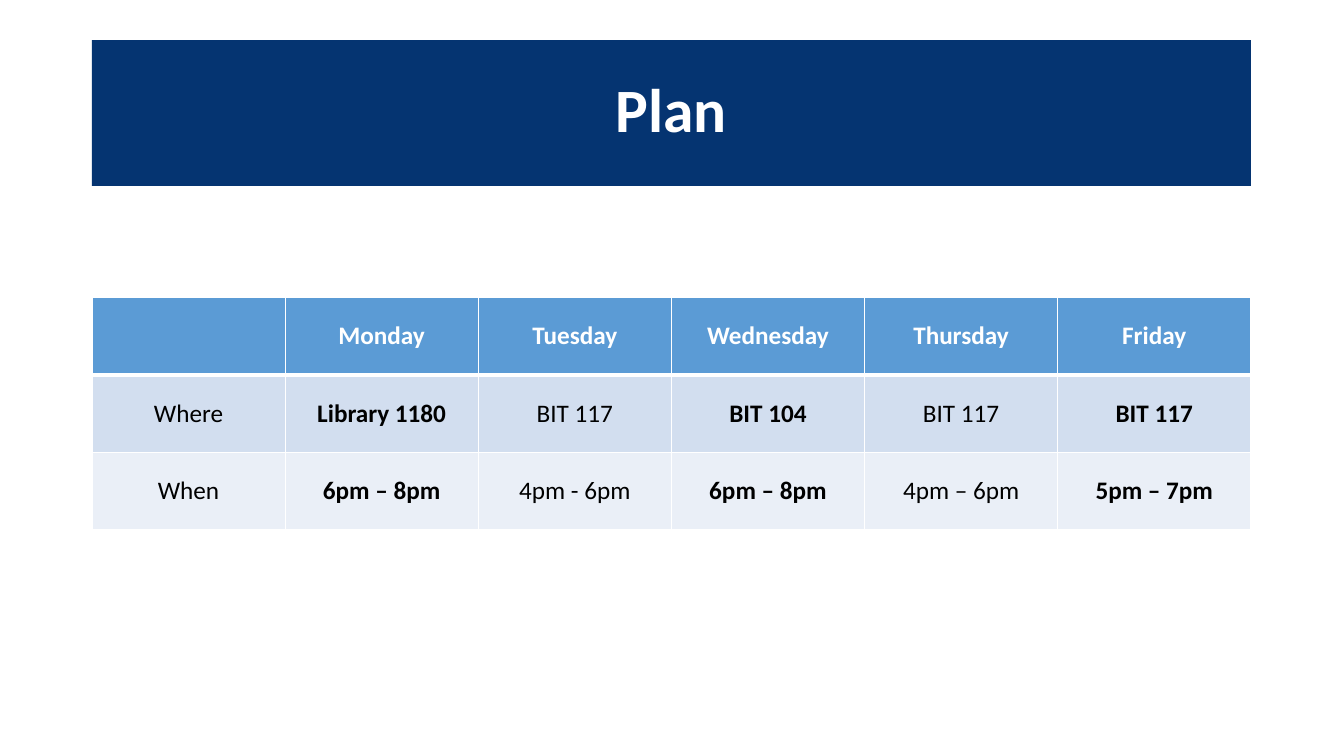
from lxml import etree
from pptx import Presentation
from pptx.dml.color import RGBColor
from pptx.enum.text import MSO_ANCHOR, PP_ALIGN
from pptx.oxml.ns import qn
from pptx.util import Pt

SCALE = 914400 / 100.8  # EMU per pixel

HEADER = ["", "Monday", "Tuesday", "Wednesday", "Thursday", "Friday"]
WHERE = ["Where", "Library 1180", "BIT 117", "BIT 104", "BIT 117", "BIT 117"]
WHEN = ["When", "6pm – 8pm", "4pm - 6pm", "6pm – 8pm", "4pm – 6pm", "5pm – 7pm"]
ROW_FILLS = ["5B9BD5", "D2DEEF", "EAEFF7"]
BOLD_DAYS = {"Monday", "Wednesday", "Friday"}


def px(n):
    return round(n * SCALE)


def rgb(value):
    return RGBColor.from_string(value)


def paint(part, color):
    part.fill.solid()
    part.fill.fore_color.rgb = rgb(color)


def write(tf, text, size, color, bold):
    p = tf.paragraphs[0]
    p.alignment = PP_ALIGN.CENTER
    r = p.add_run()
    r.text = text
    font = {"name": "Calibri", "size": Pt(size), "bold": bold}
    for name, value in font.items():
        setattr(r.font, name, value)
    r.font.color.rgb = rgb(color)
    return p


def set_borders(cell, widths, color="FFFFFF"):
    tc_pr = cell._tc.get_or_add_tcPr()
    for side, width in widths.items():
        ln = etree.SubElement(tc_pr, qn(f"a:ln{side}"), w=str(Pt(width)))
        fill = etree.SubElement(ln, qn("a:solidFill"))
        etree.SubElement(fill, qn("a:srgbClr"), val=color)


def add_title(slide, x, y, w, h):
    sp = slide.shapes.title
    box = {"left": x, "top": y, "width": w, "height": h}
    for name, value in box.items():
        setattr(sp, name, px(value))
    paint(sp, "053471")
    sp.text_frame.vertical_anchor = MSO_ANCHOR.MIDDLE
    p = write(sp.text_frame, "Plan", 44, "FFFFFF", True)
    p.line_spacing = 0.9


def add_schedule(slide, x, y, w, h):
    rows = [HEADER, WHERE, WHEN]
    table = slide.shapes.add_table(
        len(rows), len(HEADER), px(x), px(y), px(w), px(h)).table
    for col in table.columns:
        col.width = px(w / len(HEADER))
    for i, texts in enumerate(rows):
        table.rows[i].height = px(h / len(rows))
        is_header = i == 0
        for day, text, cell in zip(HEADER, texts, table.rows[i].cells):
            # A thick rule separates the header from the body
            set_borders(cell, {"L": 1, "R": 1, "T": 3 if i == 1 else 1,
                               "B": 3 if is_header else 1})
            paint(cell, ROW_FILLS[i])
            cell.vertical_anchor = MSO_ANCHOR.MIDDLE
            if text:
                write(cell.text_frame, text, 18,
                      "FFFFFF" if is_header else "000000",
                      is_header or day in BOLD_DAYS)


prs = Presentation()
prs.slide_width, prs.slide_height = px(1344), px(756)
s = prs.slides.add_slide(prs.slide_layouts[5])  # title only

# Title band
add_title(s, 92, 40, 1159, 146)

# Weekly schedule
add_schedule(s, 92, 297, 1159, 233)

prs.save("out.pptx")
